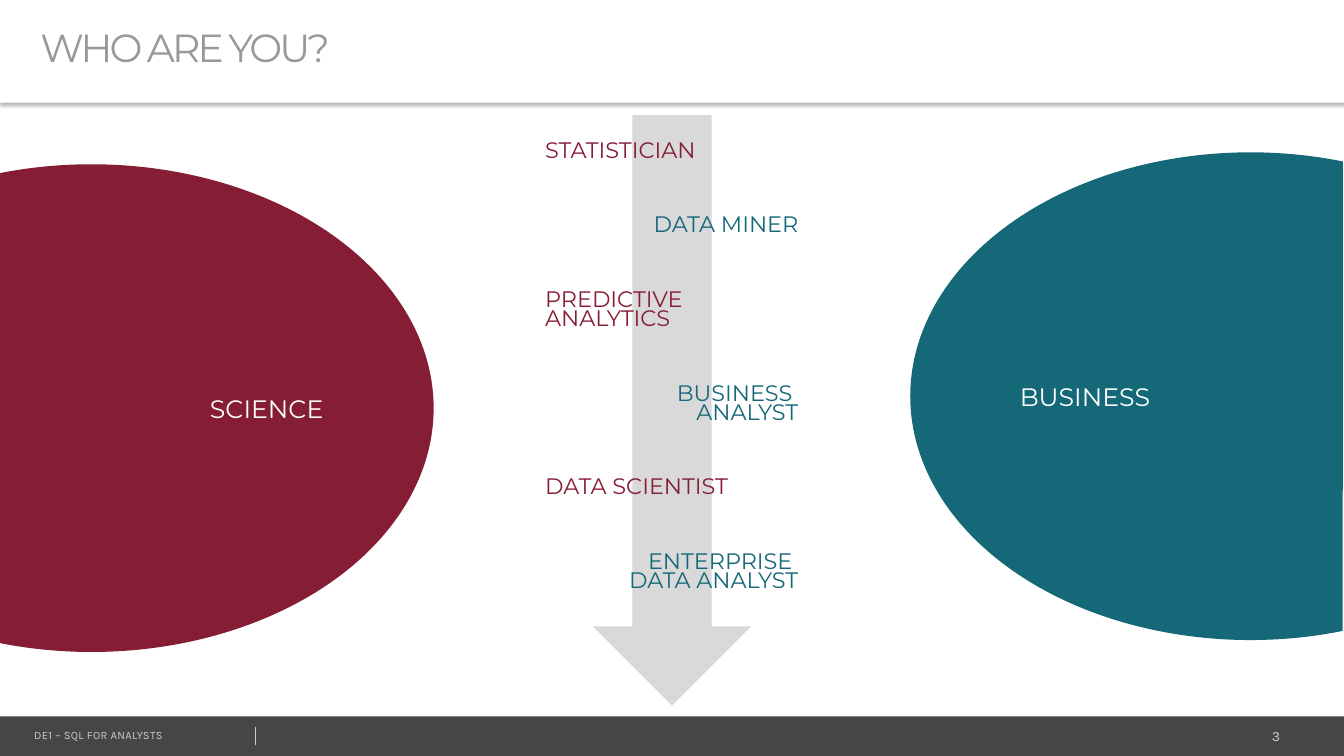
"""Build the slide that places data roles between science and business."""
from lxml import etree
from pptx import Presentation
from pptx.dml.color import RGBColor
from pptx.enum.shapes import MSO_CONNECTOR, MSO_SHAPE
from pptx.enum.text import MSO_ANCHOR, MSO_AUTO_SIZE, PP_ALIGN
from pptx.oxml.ns import qn
from pptx.util import Cm, Pt

LEFT, RIGHT = PP_ALIGN.LEFT, PP_ALIGN.RIGHT
TOP, MIDDLE = MSO_ANCHOR.TOP, MSO_ANCHOR.MIDDLE
RECTANGLE, DOWN_ARROW, CHORD = MSO_SHAPE.RECTANGLE, MSO_SHAPE.DOWN_ARROW, MSO_SHAPE.CHORD
STRAIGHT = MSO_CONNECTOR.STRAIGHT
NO_FIT = MSO_AUTO_SIZE.NONE

COLORS = {
    "science": "851D34",
    "business": "146878",
    "arrow": "D9D9D9",
    "bar": "464547",
    "footer": "CCCCCC",
    "title": "999999",
    "white": "FFFFFF",
    "shadow": "000000",
}
TITLE = "WHO ARE YOU?"
FOOTER = "DE1 – SQL FOR ANALYSTS"
PAGE_NUMBER = "3"
ROLES = [
    ("science", ["STATISTICIAN"]),
    ("business", ["DATA MINER"]),
    ("science", ["PREDICTIVE ANALYTICS"]),
    ("business", ["BUSINESS ", "ANALYST"]),
    ("science", ["DATA SCIENTIST"]),
    ("business", ["ENTERPRISE ", "DATA ANALYST"]),
]
FIELDS = [
    ("science", "SCIENCE", (-6.32, 4.14, 17.25, 12.29), RIGHT, False),
    ("business", "BUSINESS", (22.94, 3.84, 17.15, 12.29), LEFT, True),
]
CHORD_ANGLES = (149.106, 66.867)
ROLE_ALIGN = {"science": LEFT, "business": RIGHT}
ROLE_GAP = 40
PAGE_WIDTH, PAGE_HEIGHT = 33.87, 19.05
BAR_TOP = 18.05


def rgb(name):
    """Return the named colour."""
    return RGBColor.from_string(COLORS[name])


def write(para, text, size, color, font="Montserrat", align=LEFT,
          line=None, before=0, tracking=None):
    """Write one formatted run into a paragraph."""
    para.alignment = align
    para.space_before = Pt(before)
    if line:
        para.line_spacing = line
    span = para.add_run()
    span.text = text
    span.font.name = font
    span.font.size = Pt(size)
    span.font.color.rgb = rgb(color)
    if tracking:
        span.font._element.set("spc", str(round(tracking * 100)))


def add_box(page, place):
    """Add a wrapping text box and return its text frame."""
    frame = page.shapes.add_textbox(*map(Cm, place)).text_frame
    frame.word_wrap = True
    frame.vertical_anchor = TOP
    return frame


def add_filled(page, kind, place, color):
    """Add a preset shape with a plain fill."""
    shape = page.shapes.add_shape(kind, *map(Cm, place))
    shape.shadow.inherit = False
    shape.fill.solid()
    shape.fill.fore_color.rgb = rgb(color)
    shape.line.fill.background()
    return shape


def add_title(page):
    """Format the title placeholder as a white band with a soft shadow."""
    title = page.shapes.title
    title.left, title.top, title.width, title.height = map(Cm, (0, 0, PAGE_WIDTH, 2.59))
    title.fill.solid()
    title.fill.fore_color.rgb = rgb("white")
    effects = etree.SubElement(title._element.spPr, qn("a:effectLst"))
    shadow = etree.SubElement(effects, qn("a:outerShdw"), blurRad=str(Pt(3.1)),
                              dist=str(Pt(2)), dir="5400000", algn="t", rotWithShape="0")
    tint = etree.SubElement(shadow, qn("a:srgbClr"), val=COLORS["shadow"])
    etree.SubElement(tint, qn("a:alpha"), val="30000")
    frame = title.text_frame
    frame.auto_size = NO_FIT
    frame.word_wrap = True
    frame.vertical_anchor = MIDDLE
    frame.margin_left, frame.margin_right = Cm(1.02), Cm(0.25)
    frame.margin_top = frame.margin_bottom = Cm(0.13)
    write(frame.paragraphs[0], TITLE, 28, "title", line=0.8, tracking=-2)


def add_footer(page):
    """Add the bottom bar with its label, divider and page number."""
    add_filled(page, RECTANGLE, (0, BAR_TOP, PAGE_WIDTH, PAGE_HEIGHT - BAR_TOP), "bar")
    number = add_box(page, (26.97, 18.21, 5.54, 0.69))
    write(number.paragraphs[0], PAGE_NUMBER, 10, "footer", font="Karla", align=RIGHT)
    label = add_box(page, (0.61, 18.24, 8.59, 0.61))
    write(label.paragraphs[0], FOOTER, 8, "footer", font="Karla", tracking=0.2)
    divider = page.shapes.add_connector(STRAIGHT, Cm(6.43), Cm(18.31), Cm(6.43), Cm(18.77))
    divider.line.color.rgb = rgb("footer")
    divider.line.width = Pt(0.25)
    etree.SubElement(divider._element.spPr, qn("a:effectLst"))


def add_roles(page):
    """List the roles over the arrow, alternating sides."""
    add_filled(page, DOWN_ARROW, (14.94, 2.9, 3.99, 14.88), "arrow")
    frame = add_box(page, (13.49, 3.48, 6.88, 12.29))
    for role, (side, lines) in enumerate(ROLES):
        for row, text in enumerate(lines):
            first = role == row == 0
            para = frame.paragraphs[0] if first else frame.add_paragraph()
            gap = ROLE_GAP if role and row == 0 else 0
            write(para, text, 16, side, align=ROLE_ALIGN[side], line=0.7, before=gap)


def add_field(page, color, text, place, align, flipped):
    """Add one large chord that runs off the side of the slide."""
    chord = add_filled(page, CHORD, place, color)
    for index, angle in enumerate(CHORD_ANGLES):
        chord.adjustments[index] = angle
    if flipped:
        chord._element.spPr.xfrm.set("flipH", "1")
    chord.text_frame.vertical_anchor = MIDDLE
    write(chord.text_frame.paragraphs[0], text, 18, "white", align=align)


def main():
    """Assemble and save the deck."""
    deck = Presentation()
    deck.slide_width, deck.slide_height = Cm(PAGE_WIDTH), Cm(PAGE_HEIGHT)
    page = deck.slides.add_slide(deck.slide_layouts[5])
    add_title(page)
    add_footer(page)
    add_roles(page)
    for field in FIELDS:
        add_field(page, *field)
    deck.save("out.pptx")


if __name__ == "__main__":
    main()
